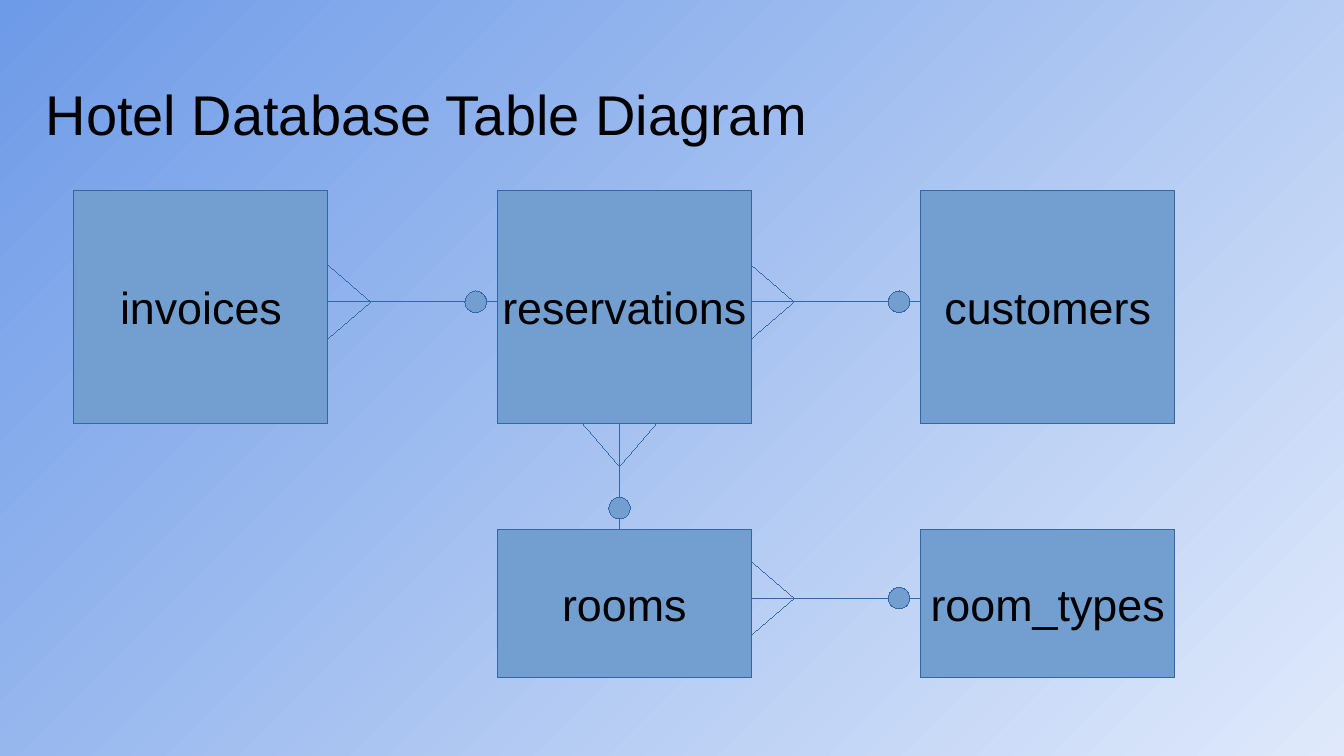
from dataclasses import dataclass

from lxml import etree
from pptx import Presentation
from pptx.dml.color import RGBColor
from pptx.enum.shapes import MSO_CONNECTOR, MSO_SHAPE
from pptx.enum.text import MSO_ANCHOR, PP_ALIGN
from pptx.oxml.ns import qn
from pptx.util import Inches, Pt

RECT, OVAL = MSO_SHAPE.RECTANGLE, MSO_SHAPE.OVAL
STRAIGHT = MSO_CONNECTOR.STRAIGHT
TOP, MIDDLE = MSO_ANCHOR.TOP, MSO_ANCHOR.MIDDLE
LEFT, CENTER = PP_ALIGN.LEFT, PP_ALIGN.CENTER


@dataclass
class Theme:
    font: str = "Arial"
    title_size: int = 30
    label_size: int = 24
    text: RGBColor = RGBColor.from_string("000000")
    fill: RGBColor = RGBColor.from_string("729FCF")
    line: RGBColor = RGBColor.from_string("3465A4")
    bg_light: RGBColor = RGBColor.from_string("DFE9FB")
    bg_deep: RGBColor = RGBColor.from_string("6E9BE7")


theme = Theme()


def set_text(sp, text, size, align=CENTER, anchor=MIDDLE, margins=(0.1, 0.05), wrap=False):
    tf = sp.text_frame
    tf.word_wrap = wrap
    tf.vertical_anchor = anchor
    tf.margin_left = tf.margin_right = Inches(margins[0])
    tf.margin_top = tf.margin_bottom = Inches(margins[1])
    p = tf.paragraphs[0]
    p.alignment = align
    r = p.add_run()
    r.text = text
    r.font.size = Pt(size)
    r.font.name = theme.font
    r.font.color.rgb = theme.text


def set_hairline(sp):
    sp.line.color.rgb = theme.line
    sp._element.spPr.find(qn("a:ln")).set("w", "0")


prs = Presentation()
prs.slide_width, prs.slide_height = Inches(10), Inches(5.625)
s = prs.slides.add_slide(prs.slide_layouts[5])

bg = s.background.fill
bg.gradient()
bg.gradient_angle = 135
for stop, color in zip(bg.gradient_stops, (theme.bg_light, theme.bg_deep)):
    stop.color.rgb = color

title = s.shapes.title
title.left, title.top = Inches(0.34), Inches(0.49)
title.width, title.height = Inches(9.32), Inches(0.63)
set_text(title, "Hotel Database Table Diagram", theme.title_size,
         align=LEFT, anchor=TOP, margins=(0, 0.1), wrap=True)

first_left, pitch, table_width = 0.55, 3.15, 1.89
rows = [(1.42, 1.73), (3.94, 1.1)]
tables = [
    ("invoices", 0, 0),
    ("reservations", 1, 0),
    ("customers", 2, 0),
    ("rooms", 1, 1),
    ("room_types", 2, 1),
]
boxes = []
for name, col, row in tables:
    top, height = rows[row]
    sp = s.shapes.add_shape(RECT, Inches(first_left + col * pitch), Inches(top),
                            Inches(table_width), Inches(height))
    set_text(sp, name, theme.label_size)
    boxes.append(sp)

gap = pitch - table_width
foot_length, foot_spread = 0.32, 0.275
dot_size, dot_inset = 0.16, 0.16
relations = [
    (2.44, 2.245, gap, 1, 0),
    (5.59, 2.245, gap, 1, 0),
    (5.59, 4.45, gap, 1, 0),
    (4.61, 3.15, 0.79, 0, 1),
]
for x, y, length, dx, dy in relations:
    shapes = s.shapes.add_group_shape().shapes if dx else s.shapes
    segments = [(0, 0, length)]
    segments += [(side * foot_spread, 0, foot_length) for side in (-1, 1)]
    for offset, start, end in segments:
        line = shapes.add_connector(
            STRAIGHT,
            Inches(x + dx * start + dy * offset), Inches(y + dy * start + dx * offset),
            Inches(x + dx * end), Inches(y + dy * end))
        set_hairline(line)
        etree.SubElement(line._element.spPr, qn("a:effectLst"))
    reach = length - dot_inset
    dot = shapes.add_shape(OVAL, Inches(x + dx * reach - dot_size / 2),
                           Inches(y + dy * reach - dot_size / 2),
                           Inches(dot_size), Inches(dot_size))
    boxes.append(dot)

for sp in boxes:
    sp.shadow.inherit = False
    sp.fill.solid()
    sp.fill.fore_color.rgb = theme.fill
    set_hairline(sp)

prs.save("out.pptx")
